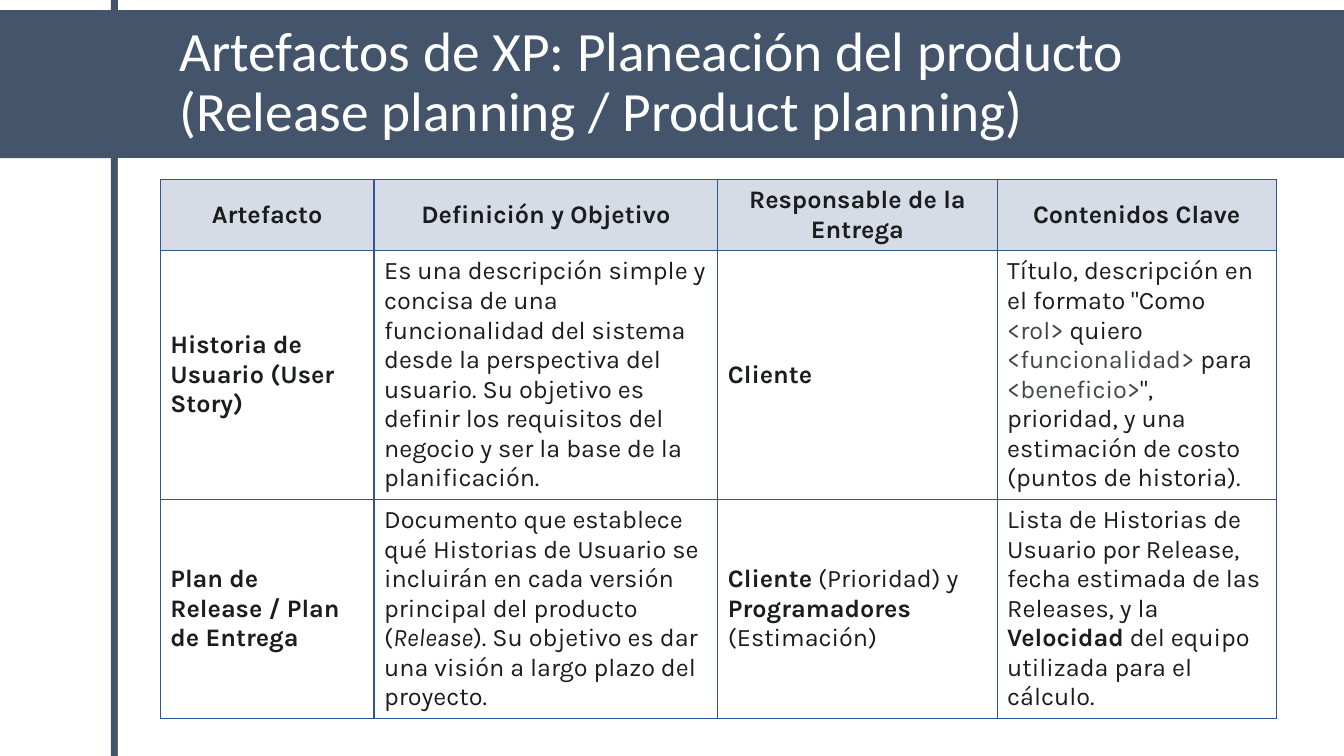
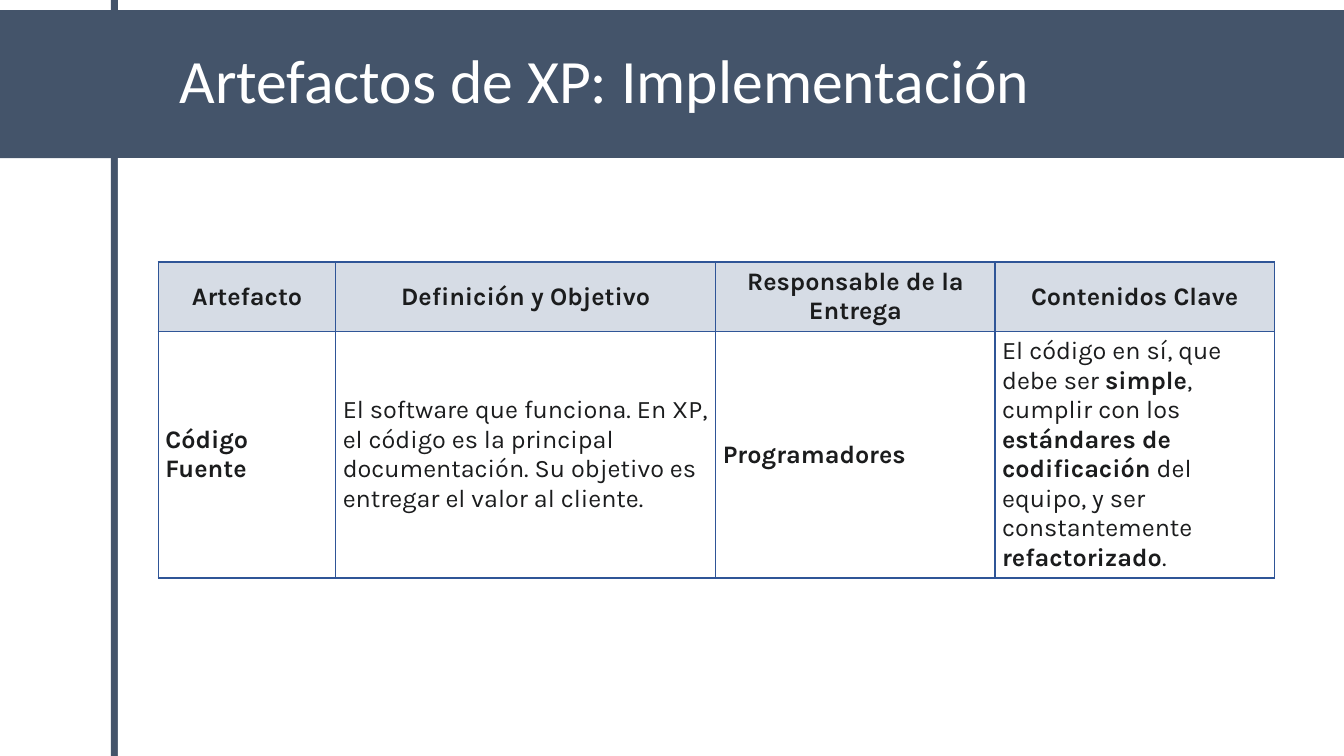
from dataclasses import dataclass

from lxml.etree import SubElement
from pptx import Presentation
from pptx.dml.color import RGBColor
from pptx.enum.shapes import MSO_SHAPE
from pptx.enum.text import MSO_ANCHOR, MSO_AUTO_SIZE, PP_ALIGN
from pptx.oxml.ns import qn
from pptx.util import Inches, Pt


@dataclass(frozen=True)
class Theme:
    """Colours, fonts and sizes shared by the slides."""
    slate: str = "44546A"
    white: str = "FFFFFF"
    header: str = "D6DCE5"
    border: str = "2F5597"
    ink: str = "1B1C1D"
    muted: str = "444746"
    title_font: str = "Calibri"
    table_font: str = "Karla"
    title_size: float = 44
    long_title_size: float = 39.6
    table_size: float = 18
    border_width: float = 1


THEME = Theme()
SLIDE_BOX = (0, 0, 13.33, 7.5)
TITLE_BOX = (1.68, 0.26, 10.95, 1.13)
STYLES = {
    "plain": {},
    "bold": {"bold": True},
    "italic": {"italic": True},
    "muted": {"color": THEME.muted},
}
HEADINGS = ["Artefacto", "Definición y Objetivo", "Responsable de la Entrega", "Contenidos Clave"]

PLANNING_ROWS = [
    [
        [("Historia de Usuario (User Story)", "bold")],
        [("Es una descripción simple y concisa de una funcionalidad del sistema desde la "
          "perspectiva del usuario. Su objetivo es definir los requisitos del negocio y ser "
          "la base de la planificación.", "plain")],
        [("Cliente", "bold")],
        [("Título, descripción en el formato \"Como ", "plain"), ("<rol>", "muted"),
         (" quiero ", "plain"), ("<funcionalidad>", "muted"), (" para ", "plain"),
         ("<beneficio>", "muted"),
         ("\", prioridad, y una estimación de costo (puntos de historia).", "plain")],
    ],
    [
        [("Plan de Release / Plan de Entrega", "bold")],
        [("Documento que establece qué Historias de Usuario se incluirán en cada versión "
          "principal del producto (", "plain"), ("Release", "italic"),
         ("). Su objetivo es dar una visión a largo plazo del proyecto.", "plain")],
        [("Cliente", "bold"), (" (Prioridad) y ", "plain"),
         ("Programadores", "bold"), (" (Estimación)", "plain")],
        [("Lista de Historias de Usuario por Release, fecha estimada de las Releases, y la ",
          "plain"), ("Velocidad", "bold"), (" del equipo utilizada para el cálculo.", "plain")],
    ],
]
CODE_ROWS = [
    [
        [("Código Fuente", "bold")],
        [("El software que funciona. En XP, el código es la principal documentación. "
          "Su objetivo es entregar el valor al cliente.", "plain")],
        [("Programadores", "bold")],
        [("El código en sí, que debe ser ", "plain"), ("simple", "bold"),
         (", cumplir con los ", "plain"), ("estándares de codificación", "bold"),
         (" del equipo, y ser constantemente ", "plain"), ("refactorizado", "bold"),
         (".", "plain")],
    ],
]

SLIDES = [
    {
        "title": "Artefactos de XP: Planeación del producto (Release planning / Product planning)",
        "title_size": THEME.long_title_size,
        "origin": (1.59, 1.78),
        "columns": (2.12, 3.41, 2.77, 2.77),
        "heights": (0.7, 2.41, 2.13),
        "margins": (0.1, 0.06),
        "rows": PLANNING_ROWS,
    },
    {
        "title": "Artefactos de XP: Implementación",
        "title_size": THEME.title_size,
        "origin": (1.57, 2.6),
        "columns": (1.76, 3.77, 2.77, 2.77),
        "heights": (0.5, 1.32),
        "margins": (0.07, 0.05),
        "rows": CODE_ROWS,
    },
]


def apply(target, values):
    """Set each attribute named in values on target."""
    for name, value in values.items():
        setattr(target, name, value)


def place(shape, box):
    """Move and size a shape to a box in inches."""
    apply(shape, dict(zip(("left", "top", "width", "height"), map(Inches, box))))


def format_font(font, name, size, color, **values):
    """Give a font its typeface, size, colour and emphasis."""
    apply(font, {"name": name, "size": Pt(size), **values})
    font.color.rgb = RGBColor.from_string(color)


def add_backdrop(slide, box):
    """Draw the band, the vertical rule and the white panel on the slide's layout."""
    left, top, width, height = box
    band_top, band_height = top + 0.1, 1.47
    rule_left, rule_width = left + 1.1, 0.07
    panel_left, panel_top = rule_left + rule_width, band_top + band_height
    panel_box = (panel_left, panel_top, left + width - panel_left, top + height - panel_top)
    parts = [
        ((left, band_top, width, band_height), THEME.slate),
        ((rule_left, top, rule_width, height), THEME.slate),
        (panel_box, THEME.white),
    ]
    layout_tree = slide.slide_layout.shapes.element
    for position, (part_box, color) in enumerate(parts, start=2):
        shape = slide.shapes.add_shape(MSO_SHAPE.RECTANGLE, *map(Inches, part_box))
        shape.shadow.inherit = False
        shape.fill.solid()
        shape.fill.fore_color.rgb = RGBColor.from_string(color)
        shape.line.fill.background()
        layout_tree.insert(position, shape.element)


def add_title(slide, box, text, size):
    """Place and format the title placeholder."""
    title = slide.shapes.title
    place(title, box)
    frame = title.text_frame
    frame.text = text
    apply(frame, {"word_wrap": True, "auto_size": MSO_AUTO_SIZE.NONE,
                  "vertical_anchor": MSO_ANCHOR.MIDDLE})
    paragraph = frame.paragraphs[0]
    apply(paragraph, {"alignment": PP_ALIGN.LEFT, "line_spacing": 0.9})
    format_font(paragraph.runs[0].font, THEME.title_font, size, THEME.white)


def add_borders(cell):
    """Draw the four borders of a table cell."""
    properties = cell._tc.get_or_add_tcPr()
    for position, side in enumerate(("lnL", "lnR", "lnT", "lnB")):
        line = SubElement(properties, qn(f"a:{side}"), w=str(Pt(THEME.border_width)))
        fill = SubElement(line, qn("a:solidFill"))
        SubElement(fill, qn("a:srgbClr"), val=THEME.border)
        properties.insert(position, line)


def fill_cell(cell, segments, margins, is_header):
    """Write styled text in a cell and set its fill, margins and borders."""
    side, edge = map(Inches, margins)
    apply(cell, {"margin_left": side, "margin_right": side, "margin_top": edge,
                 "margin_bottom": edge, "vertical_anchor": MSO_ANCHOR.MIDDLE})
    if is_header:
        cell.fill.solid()
        cell.fill.fore_color.rgb = RGBColor.from_string(THEME.header)
    else:
        cell.fill.background()
    add_borders(cell)
    paragraph = cell.text_frame.paragraphs[0]
    paragraph.alignment = PP_ALIGN.CENTER if is_header else PP_ALIGN.LEFT
    for text, style in segments:
        run = paragraph.add_run()
        run.text = text
        values = {"color": THEME.ink, "bold": False, "italic": False, **STYLES[style]}
        format_font(run.font, THEME.table_font, THEME.table_size, **values)


def add_artifact_table(slide, origin, columns, heights, margins, rows):
    """Build the artifact table with its top left corner at origin."""
    content = [[[(heading, "bold")] for heading in HEADINGS], *rows]
    box = (*origin, sum(columns), sum(heights))
    table = slide.shapes.add_table(len(content), len(columns), *map(Inches, box)).table
    apply(table, {"first_row": False, "horz_banding": False})
    for column, width in zip(table.columns, columns):
        column.width = Inches(width)
    for row_index, (row, height) in enumerate(zip(table.rows, heights)):
        row.height = Inches(height)
        for cell, segments in zip(row.cells, content[row_index]):
            fill_cell(cell, segments, margins, is_header=row_index == 0)


def add_artifact_slide(presentation, title, title_size, **table):
    """Add a slide with a title and an artifact table."""
    slide = presentation.slides.add_slide(presentation.slide_layouts[5])
    add_title(slide, TITLE_BOX, title, title_size)
    add_artifact_table(slide, **table)
    return slide


def main():
    """Build and save the presentation."""
    presentation = Presentation()
    apply(presentation, {"slide_width": Inches(SLIDE_BOX[2]),
                         "slide_height": Inches(SLIDE_BOX[3])})
    slides = [add_artifact_slide(presentation, **content) for content in SLIDES]
    add_backdrop(slides[0], SLIDE_BOX)
    presentation.save("out.pptx")


if __name__ == "__main__":
    main()
